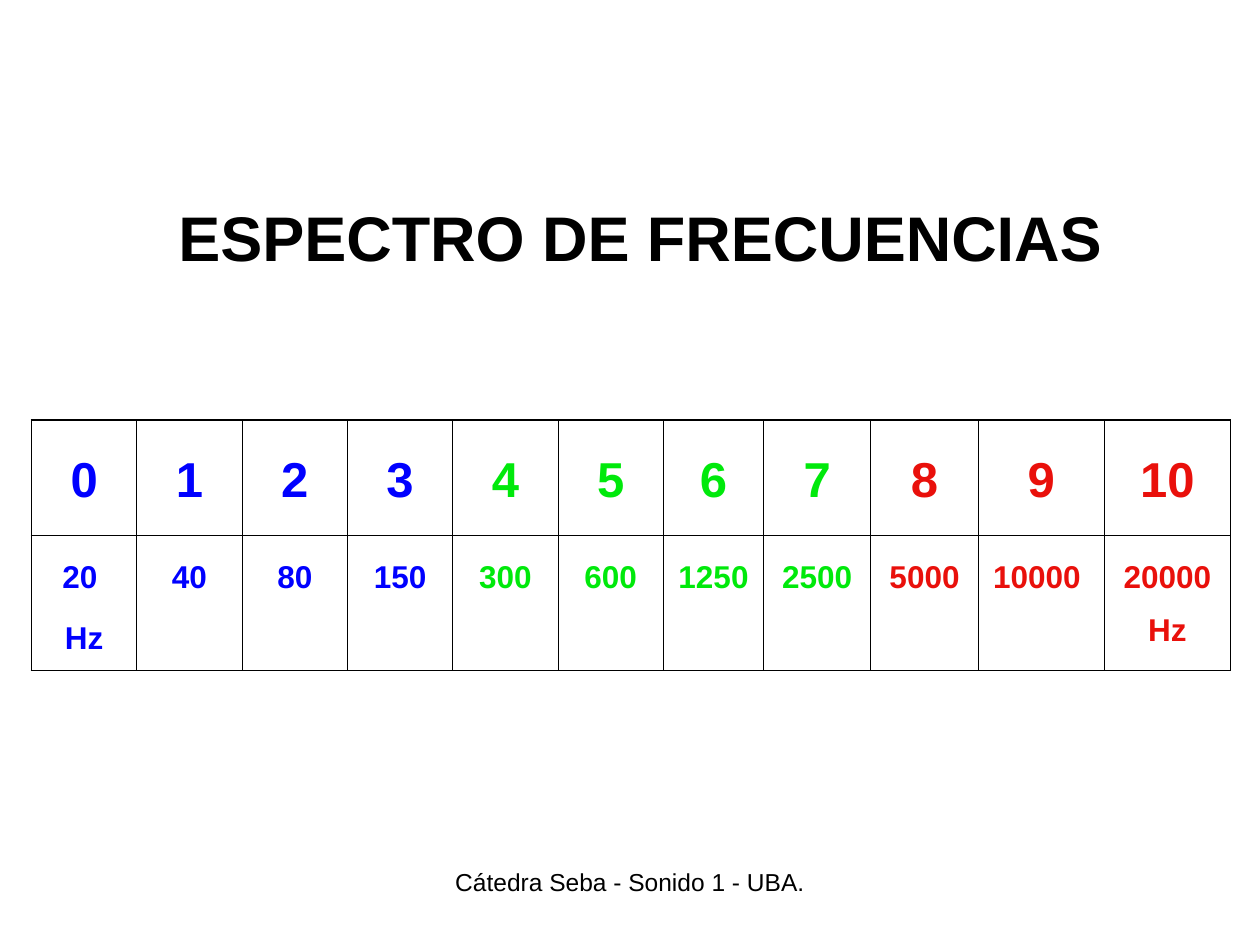
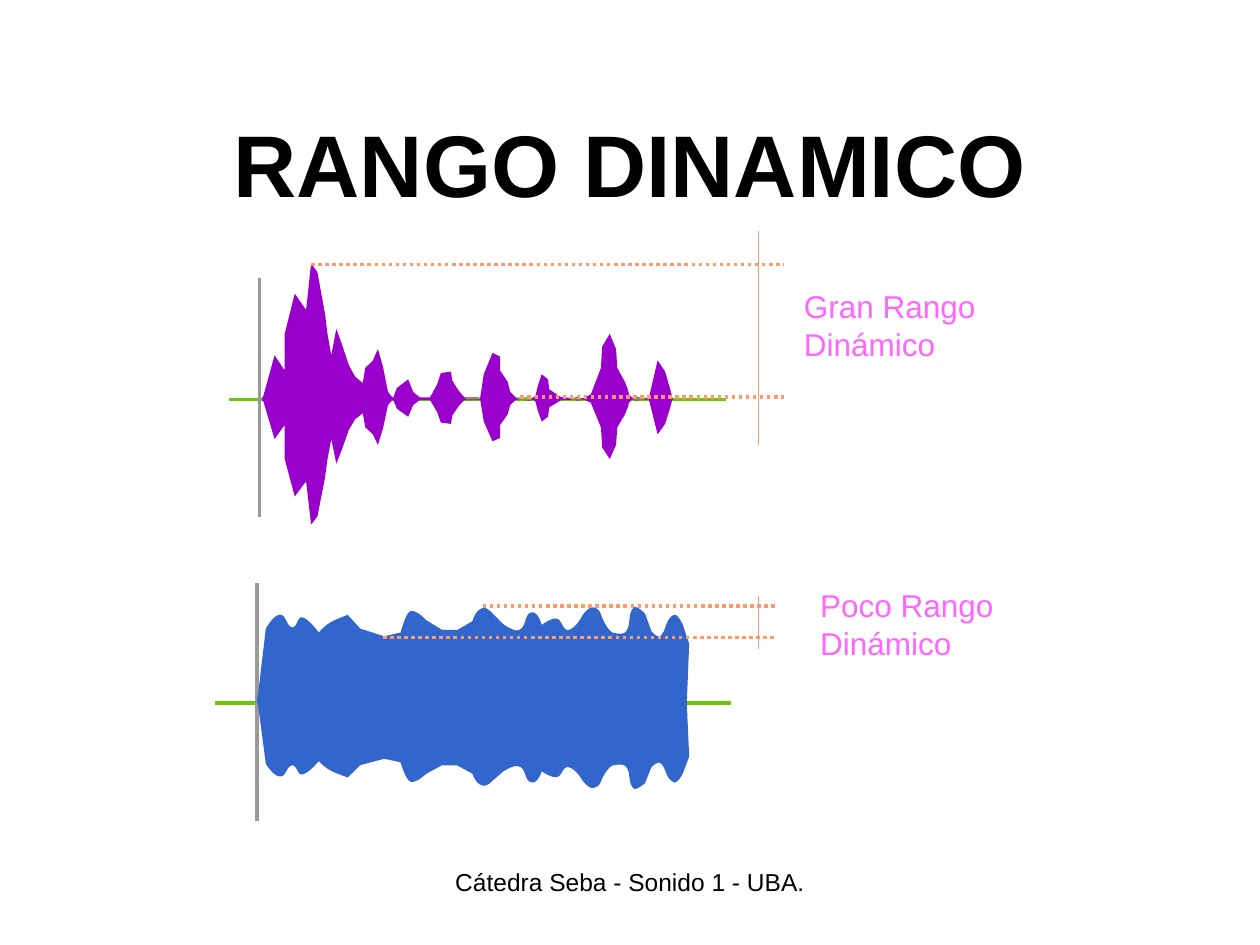
import pptx
import pptx.dml.color
import pptx.enum.dml
import pptx.enum.shapes
import pptx.enum.text
import pptx.oxml.ns
import pptx.util
import lxml.etree

Pt = pptx.util.Pt
qn = pptx.oxml.ns.qn
ALIGN = pptx.enum.text.PP_ALIGN
ANCHOR = pptx.enum.text.MSO_ANCHOR

FONT = "Arial"
COLORS = {
    "text": "000000", "low": "0000FF", "middle": "00E90B", "high": "E9100B",
    "baseline": "66CC00", "axis": "999999", "range": "FF9966", "label": "FF66FF",
    "wide_wave": "9900CC", "narrow_wave": "3366CC",
}
FOOTER = "Cátedra Seba - Sonido 1 - UBA."
UNIT = 0.72  # points per step of the wave outlines

# Frequency bands: scale step, frequency, colour, column width
BANDS = [
    ("0", "20 \nHz", "low", 60.2), ("1", "40", "low", 60.2),
    ("2", "80", "low", 60.2), ("3", "150", "low", 60.2),
    ("4", "300", "middle", 60.2), ("5", "600", "middle", 60.2),
    ("6", "1250", "middle", 57.3), ("7", "2500", "middle", 61.2),
    ("8", "5000", "high", 61.5), ("9", "10000 ", "high", 72),
    ("10", "20000 Hz", "high", 72),
]

# Wave outlines, x and height above the baseline; pairs are corners,
# groups of six are Bezier curves
WIDE_WAVE = [
    (0, 0), (10, 36), (18, 24), (18, 53), (26, 85), (35, 72), (39, 109),
    (44, 102), (50, 69), (52, 53), (55, 36), (59, 57), (63, 46), (69, 28),
    (74, 19), (80, 14), (82, 26), (88, 32), (92, 41), (96, 27), (98, 17),
    (100, 7), (104, 2), (107, 10), (116, 17), (120, 7), (126, 2), (133, 2),
    (139, 13), (142, 22), (150, 23), (151, 16), (156, 8), (162, 1), (173, 1),
    (176, 21), (183, 38), (189, 35), (189, 24), (195, 15), (197, 7), (203, 1),
    (213, 0), (217, 4), (219, 12), (222, 21), (227, 17), (228, 9), (237, 3),
    (251, 0), (261, 5), (269, 26), (270, 43), (276, 53), (281, 41), (282, 26),
    (288, 15), (288, 15, 291, 8, 291, 6), (291, 4, 297, 0, 297, 0), (307, 2),
    (314, 32), (320, 23), (324, 9), (326, 1),
]
NARROW_WAVE = [
    (0, 0), (7, 59), (7, 59, 13, 70, 18, 70), (23, 71, 23, 61, 28, 60),
    (32, 60, 32, 69, 36, 68), (41, 67, 49, 56, 49, 56),
    (49, 56, 54, 62, 60, 65), (64, 67, 72, 70, 72, 70),
    (82, 59), (101, 53), (114, 56), (114, 56, 118, 72, 122, 73),
    (127, 74, 134, 66, 134, 66), (147, 58), (159, 58), (171, 65),
    (171, 65, 173, 73, 178, 75), (182, 77, 186, 72, 186, 72), (195, 63),
    (195, 63, 204, 56, 208, 58), (214, 60, 212, 71, 218, 72),
    (223, 73, 226, 62, 226, 62), (226, 62, 234, 68, 238, 67),
    (242, 66, 243, 57, 247, 58), (253, 59, 258, 69, 258, 69),
    (258, 69, 263, 77, 267, 76), (272, 75, 273, 70, 273, 70),
    (273, 70, 277, 59, 282, 56), (286, 55, 291, 54, 293, 57),
    (297, 62, 294, 71, 299, 76), (301, 78, 308, 71, 308, 71), (313, 57),
    (313, 57, 317, 52, 320, 53), (325, 57, 324, 67, 331, 70),
    (334, 71, 338, 62, 338, 62), (343, 47), (341, -3),
]

# Wave panels; places are points from the panel's top left corner.
# mirror: baseline shift, height factor and tilt of the lower half
WIDE_PANEL = {
    "label": "Gran Rango Dinámico", "label_at": (339.4, 34.2),
    "outline": WIDE_WAVE, "color": "wide_wave", "wave_at": (29.76, 98.96),
    "mirror": (-3, 0.93, 0),
    "baseline": (294.7, 98.2, 11, 98.2), "axis": (28.3, 29.1, 28.3, 165.2),
    "limits": [(57.8, 21.2, 327.8, 21.2), (177.4, 96.8, 327.8, 96.8)],
    "marker": (313.4, 124.2, 313.4, 1.8),
}
NARROW_PANEL = {
    "label": "Poco Rango Dinámico", "label_at": (348.7, 2.8),
    "outline": NARROW_WAVE, "color": "narrow_wave", "wave_at": (26.88, 69.76),
    "mirror": (-5, 0.9, 0.015),
    "baseline": (297.6, 69.8, 3.1, 69.8), "axis": (26.9, 1.4, 26.9, 137.4),
    "limits": [(155.8, 14.3, 323.5, 14.3), (98.9, 32.3, 322.8, 32.3)],
    "marker": (313.4, 38.8, 313.4, 8.6),
}


def rgb(name):
    return pptx.dml.color.RGBColor.from_string(COLORS[name])


def style_paragraph(paragraph, size, color="text", bold=False, align=ALIGN.CENTER):
    paragraph.alignment = align
    font = paragraph.font
    font.name, font.size, font.bold = FONT, Pt(size), bold
    font.color.rgb = rgb(color)


def add_title(slide, box, text, size):
    title = slide.shapes.title
    title.left, title.top, title.width, title.height = map(Pt, box)
    frame = title.text_frame
    frame.text = text
    frame.auto_size = pptx.enum.text.MSO_AUTO_SIZE.NONE
    frame.vertical_anchor = ANCHOR.MIDDLE
    style_paragraph(frame.paragraphs[0], size, bold=True)


def add_text(slide, box, text, size, color="text", align=ALIGN.CENTER):
    frame = slide.shapes.add_textbox(*map(Pt, box)).text_frame
    frame.word_wrap = True
    frame.text = text
    style_paragraph(frame.paragraphs[0], size, color, align=align)
    return frame


def add_footer(slide):
    add_text(slide, (246, 492, 228, 36), FOOTER, 14)


def add_line(slide, origin, ends, color, width, dotted=False):
    left, top = origin
    x1, y1, x2, y2 = ends
    line = slide.shapes.add_connector(
        pptx.enum.shapes.MSO_CONNECTOR.STRAIGHT,
        Pt(left + x1), Pt(top + y1), Pt(left + x2), Pt(top + y2))
    line.line.color.rgb = rgb(color)
    line.line.width = Pt(width)
    if dotted:
        line.line.dash_style = pptx.enum.dml.MSO_LINE.ROUND_DOT
    lxml.etree.SubElement(line._element.spPr, qn("a:effectLst"))


def set_borders(cell, widths):
    """Draw the left, right, top and bottom borders of a cell."""
    properties = cell._tc.get_or_add_tcPr()
    for index, (side, width) in enumerate(zip("LRTB", widths)):
        border = lxml.etree.Element(qn(f"a:ln{side}"), w=str(Pt(width)))
        fill = lxml.etree.SubElement(border, qn("a:solidFill"))
        lxml.etree.SubElement(fill, qn("a:srgbClr"), val=COLORS["text"])
        properties.insert(index, border)


def add_band_table(slide, box):
    heights, sizes, gaps = (66.2, 77), (28, 18), (7, 4.5)
    thin, thick = 0.45, 1.08
    last = len(BANDS) - 1
    table = slide.shapes.add_table(2, len(BANDS), *map(Pt, box)).table
    table.first_row = table.horz_banding = False
    for row, height in enumerate(heights):
        table.rows[row].height = Pt(height)
        for column, band in enumerate(BANDS):
            table.columns[column].width = Pt(band[3])
            cell = table.cell(row, column)
            cell.fill.background()
            cell.text = band[row]
            for paragraph in cell.text_frame.paragraphs:
                style_paragraph(paragraph, sizes[row], band[2], bold=True)
                paragraph.line_spacing = 1.5
                paragraph.space_before = Pt(gaps[row])
            outer = (column == 0, column == last, row == 0, row == 1)
            set_borders(cell, [thick if edge else thin for edge in outer])


def flatten(outline, steps=8):
    """Turn corners and Bezier curves into a list of points."""
    points = []
    for part in outline:
        if len(part) == 2:
            points.append(part)
            continue
        start = points[-1]
        controls = [start, part[:2], part[2:4], part[4:]]
        for step in range(1, steps + 1):
            t = step / steps
            weights = ((1 - t) ** 3, 3 * t * (1 - t) ** 2, 3 * t * t * (1 - t), t ** 3)
            points.append(tuple(
                sum(weight * control[axis] for weight, control in zip(weights, controls))
                for axis in (0, 1)))
    return points


def add_half_wave(slide, origin, points, color):
    left, top = origin
    places = [(Pt(left + UNIT * x), Pt(top + UNIT * y)) for x, y in points]
    builder = slide.shapes.build_freeform(*places[0])
    builder.add_line_segments(places[1:], close=True)
    shape = builder.convert_to_shape()
    shape.shadow.inherit = False
    shape.fill.solid()
    shape.fill.fore_color.rgb = rgb(color)
    shape.line.fill.background()


def add_wave_panel(slide, origin, panel):
    left, top = origin
    add_line(slide, origin, panel["baseline"], "baseline", 2)
    add_line(slide, origin, panel["axis"], "axis", 2)

    # Upper half and its mirror image
    wave_left, wave_top = panel["wave_at"]
    wave_origin = (left + wave_left, top + wave_top)
    shift, factor, tilt = panel["mirror"]
    points = flatten(panel["outline"])
    upper = [(x, -height) for x, height in points]
    lower = [(x, shift + factor * height + tilt * x) for x, height in points]
    for half in (upper, lower):
        add_half_wave(slide, wave_origin, half, panel["color"])

    # Dynamic range: two limits, a marker and its label
    for limit in panel["limits"]:
        add_line(slide, origin, limit, "range", 2, dotted=True)
    add_line(slide, origin, panel["marker"], "range", 1)
    label_left, label_top = panel["label_at"]
    frame = add_text(slide, (left + label_left, top + label_top, 125.3, 56.9),
                     panel["label"], 18, "label", ALIGN.LEFT)
    frame.margin_left = frame.margin_right = frame.margin_top = frame.margin_bottom = 0
    frame.paragraphs[0].space_before = Pt(9)


def build_spectrum_slide(slide):
    add_title(slide, (54, 78, 624, 114), "ESPECTRO DE FRECUENCIAS", 36)
    add_band_table(slide, (18, 240, 685, 143.2))
    add_footer(slide)


def build_range_slide(slide):
    add_title(slide, (54, 48, 612, 90), "RANGO DINAMICO", 50)
    add_footer(slide)
    add_wave_panel(slide, (120, 130), WIDE_PANEL)
    add_wave_panel(slide, (120, 332), NARROW_PANEL)


presentation = pptx.Presentation()
presentation.slide_width, presentation.slide_height = Pt(720), Pt(540)
title_only = presentation.slide_layouts[5]
for build in (build_spectrum_slide, build_range_slide):
    build(presentation.slides.add_slide(title_only))
presentation.save("out.pptx")
